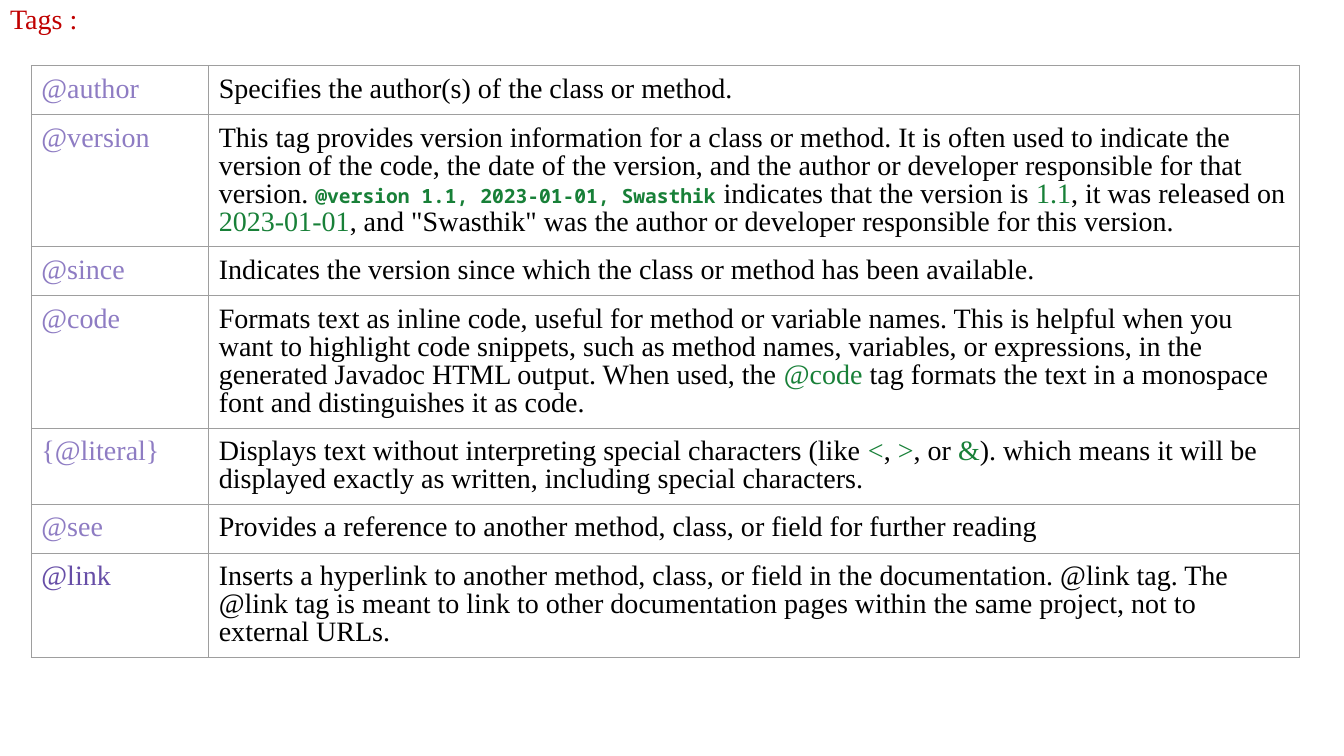
from dataclasses import dataclass

from lxml import etree
from pptx import Presentation
from pptx.dml.color import RGBColor
from pptx.enum.text import MSO_ANCHOR, MSO_AUTO_SIZE, PP_ALIGN
from pptx.oxml.ns import qn
from pptx.util import Inches, Pt

TOP = MSO_ANCHOR.TOP
LEFT = PP_ALIGN.LEFT
NO_AUTOFIT = MSO_AUTO_SIZE.NONE
TITLE_ONLY = 5
SLIDE_WIDTH = Inches(13.33)
SLIDE_HEIGHT = Inches(7.5)


@dataclass(frozen=True)
class Theme:
    title: str = "C00000"
    body: str = "000000"
    tag: str = "8E7CC3"
    link_tag: str = "674EA7"
    example: str = "188038"
    border: str = "9E9E9E"
    font: str = "Times New Roman"
    code_font: str = "Noto Sans Mono"
    size: float = 20
    code_size: float = 14
    border_width: float = 0.75
    line_spacing: float = 0.9


THEME = Theme()


@dataclass(frozen=True)
class Span:
    text: str
    color: str = THEME.body
    font: str = THEME.font
    size: float = THEME.size
    bold: bool = False


@dataclass(frozen=True)
class TagRow:
    tag: str
    description: tuple[Span, ...]
    color: str = THEME.tag


def example(text: str) -> Span:
    return Span(text, THEME.example)


TAG_ROWS = (
    TagRow("@author", (Span("Specifies the author(s) of the class or method."),)),
    TagRow("@version", (
        Span("This tag provides version information for a class or method. It is often used "
             "to indicate the version of the code, the date of the version, and the author or "
             "developer responsible for that version. "),
        Span("@version 1.1, 2023-01-01, Swasthik", THEME.example,
             THEME.code_font, THEME.code_size, True),
        Span(" indicates that the version is "),
        example("1.1"),
        Span(", it was released on "),
        example("2023-01-01"),
        Span(', and "Swasthik" was the author or developer responsible for this version.'),
    )),
    TagRow("@since", (
        Span("Indicates the version since which the class or method has been available."),
    )),
    TagRow("@code", (
        Span("Formats text as inline code, useful for method or variable names. This is helpful "
             "when you want to highlight code snippets, such as method names, variables, or "
             "expressions, in the generated Javadoc HTML output. When used, the "),
        example("@code"),
        Span(" tag formats the text in a monospace font and distinguishes it as code."),
    )),
    TagRow("{@literal}", (
        Span("Displays text without interpreting special characters (like "),
        example("<"),
        Span(", "),
        example(">"),
        Span(", or "),
        example("&"),
        Span("). which means it will be displayed exactly as written, "
             "including special characters."),
    )),
    TagRow("@see", (
        Span("Provides a reference to another method, class, or field for further reading"),
    )),
    TagRow("@link", (
        Span("Inserts a hyperlink to another method, class, or field in the documentation. "
             "@link tag. The @link tag is meant to link to other documentation pages within "
             "the same project, not to external URLs."),
    ), THEME.link_tag),
)


def across(percent: float) -> int:
    """Length for a percentage of the slide's width."""
    return round(SLIDE_WIDTH * percent / 100)


def down(percent: float) -> int:
    """Length for a percentage of the slide's height."""
    return round(SLIDE_HEIGHT * percent / 100)


def add_text(paragraph, text: str, *, color: str, font: str = THEME.font,
             size: float = THEME.size, bold: bool = False) -> None:
    paragraph.alignment = LEFT
    paragraph.line_spacing = THEME.line_spacing
    run = paragraph.add_run()
    run.text = text
    run.font.name = font
    run.font.size = Pt(size)
    run.font.bold = bold
    run.font.color.rgb = RGBColor.from_string(color)


def set_borders(cell) -> None:
    properties = cell._tc.get_or_add_tcPr()
    for position, side in enumerate(("a:lnL", "a:lnR", "a:lnT", "a:lnB")):
        line = etree.Element(qn(side), w=str(Pt(THEME.border_width)))
        fill = etree.SubElement(line, qn("a:solidFill"))
        etree.SubElement(fill, qn("a:srgbClr"), val=THEME.border)
        properties.insert(position, line)


def fill_cell(cell, spans: tuple[Span, ...]) -> None:
    cell.margin_left = cell.margin_right = Inches(0.1)
    cell.margin_top = cell.margin_bottom = Inches(0.1)
    cell.vertical_anchor = TOP
    cell.fill.background()
    set_borders(cell)
    for span in spans:
        add_text(cell.text_frame.paragraphs[0], span.text, color=span.color,
                 font=span.font, size=span.size, bold=span.bold)


def add_title(slide, text: str) -> None:
    title = slide.shapes.title
    title.left, title.top = 0, 0
    title.width, title.height = SLIDE_WIDTH, SLIDE_HEIGHT
    frame = title.text_frame
    frame.auto_size = NO_AUTOFIT
    frame.vertical_anchor = TOP
    frame.word_wrap = True
    add_text(frame.paragraphs[0], text, color=THEME.title)


def add_tag_table(slide) -> None:
    column_widths = across(13.2), across(81.17)
    row_height = down(6.5)
    table = slide.shapes.add_table(
        len(TAG_ROWS), len(column_widths), across(2.33), down(8.67),
        sum(column_widths), row_height * len(TAG_ROWS)).table
    table.first_row = False
    table.horz_banding = False
    for column, width in zip(table.columns, column_widths):
        column.width = width
    for row, tag_row in zip(table.rows, TAG_ROWS):
        row.height = row_height
        tag_cell, description_cell = row.cells
        fill_cell(tag_cell, (Span(tag_row.tag, tag_row.color),))
        fill_cell(description_cell, tag_row.description)


def main() -> None:
    presentation = Presentation()
    presentation.slide_width = SLIDE_WIDTH
    presentation.slide_height = SLIDE_HEIGHT
    slide = presentation.slides.add_slide(presentation.slide_layouts[TITLE_ONLY])
    add_title(slide, "Tags :")
    add_tag_table(slide)
    presentation.save("out.pptx")


if __name__ == "__main__":
    main()
